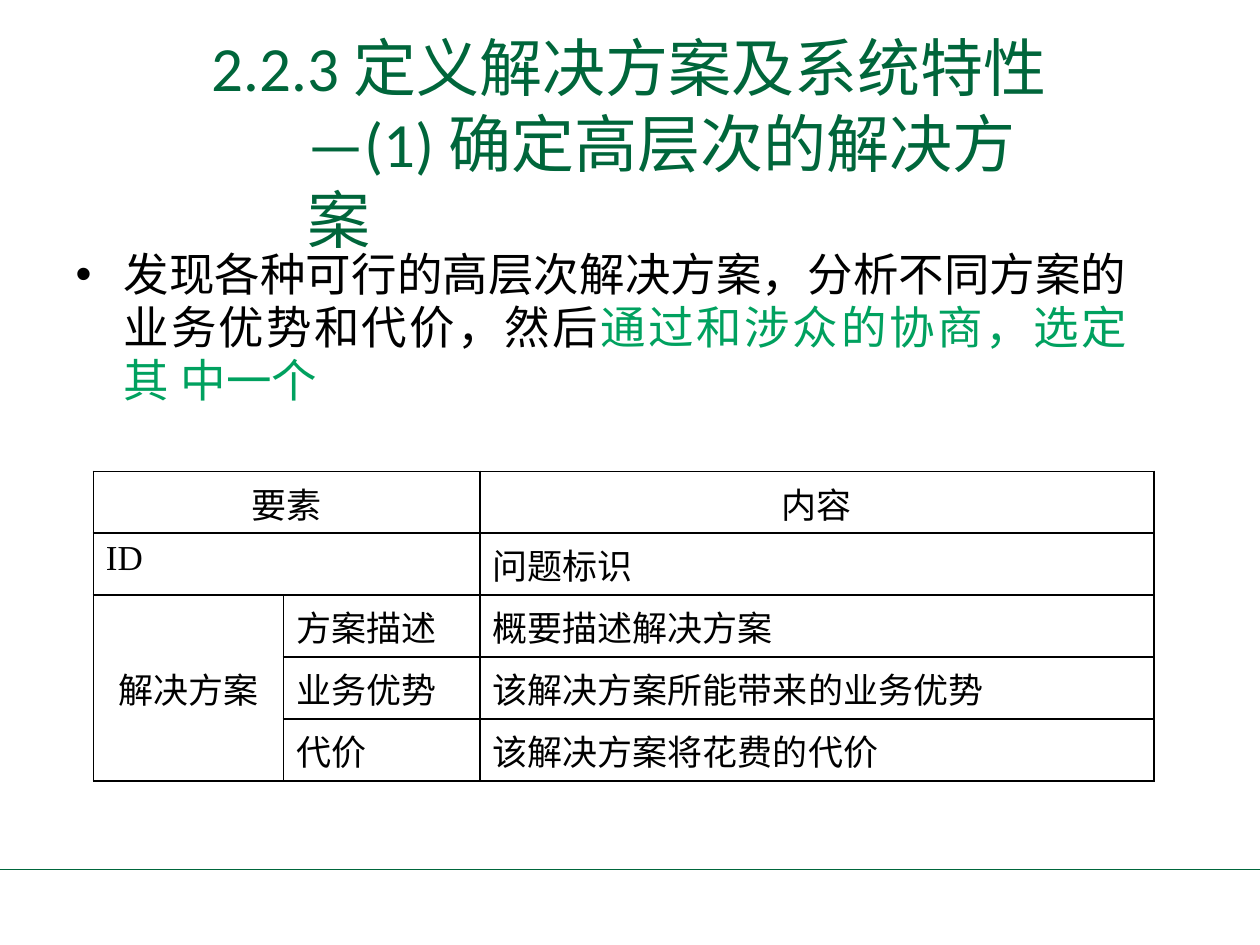
from lxml.etree import SubElement
from pptx import Presentation
from pptx.dml.color import RGBColor
from pptx.enum.shapes import MSO_CONNECTOR
from pptx.enum.text import MSO_ANCHOR, PP_ALIGN
from pptx.oxml.ns import qn
from pptx.util import Pt

COLORS = {"title": "00663B", "accent": "00A15F", "text": "000000", "background": "FFFFFF"}
CJK_FONT = "Noto Sans CJK SC"
COLUMN_WIDTHS = [108.7, 112.3, 385.2]
ROW_HEIGHT = 35.4
TABLE_ROWS = [
    ["要素", "", "内容"],
    ["ID", "", "问题标识"],
    ["解决方案", "方案描述", "概要描述解决方案"],
    ["", "业务优势", "该解决方案所能带来的业务优势"],
    ["", "代价", "该解决方案将花费的代价"],
]
CENTERED_TEXTS = ("要素", "内容", "解决方案")


def color(name):
    return RGBColor.from_string(COLORS[name])


def set_font(paragraph, size, color_name, latin):
    font = paragraph.font
    font.size = Pt(size)
    font.color.rgb = color(color_name)
    font.name = latin
    SubElement(font._element, qn("a:ea"), typeface=CJK_FONT)


def add_text_frame(slide, left, top, width, height, inset_top):
    frame = slide.shapes.add_textbox(Pt(left), Pt(top), Pt(width), Pt(height)).text_frame
    frame.word_wrap = True
    frame.margin_left = frame.margin_right = frame.margin_bottom = 0
    frame.margin_top = Pt(inset_top)
    return frame


def add_title(slide, left, top, width, height):
    frame = add_text_frame(slide, left, top, width, height, 0.7)
    lines = [("2.2.3 定义解决方案及系统特性", 0.7), ("—(1) 确定高层次的解决方案", 55.4)]
    for index, (text, margin) in enumerate(lines):
        paragraph = frame.add_paragraph() if index else frame.paragraphs[0]
        paragraph.add_run().text = text
        paragraph.line_spacing = Pt(43.4)
        paragraph._p.get_or_add_pPr().set("marL", str(Pt(margin)))
        set_font(paragraph, 36, "title", "Calibri")


def add_body(slide, left, top, width, height):
    paragraph = add_text_frame(slide, left, top, width, height, 3.6).paragraphs[0]
    paragraph.alignment = PP_ALIGN.JUSTIFY
    paragraph.line_spacing = Pt(30.3)
    # Hanging bullet
    properties = paragraph._p.get_or_add_pPr()
    properties.set("marL", str(Pt(28.1)))
    properties.set("indent", str(Pt(-27.4)))
    SubElement(properties, qn("a:buFont"), typeface="Arial")
    SubElement(properties, qn("a:buChar"), char="•")
    set_font(paragraph, 26, "text", "Calibri")
    parts = [
        ("发现各种可行的高层次解决方案，分析不同方案的 业务优势和代价，然后", "text", 0),
        ("通过和涉众的协商，选定其 中一个", "accent", 25),
    ]
    for text, color_name, spacing in parts:
        run = paragraph.add_run()
        run.text = text
        run.font.color.rgb = color(color_name)
        run.font._element.set("spc", str(spacing))


def add_borders(cell):
    properties = cell._tc.get_or_add_tcPr()
    for index, side in enumerate(("lnL", "lnR", "lnT", "lnB")):
        line = properties.makeelement(qn(f"a:{side}"), {"w": str(Pt(1))})
        fill = SubElement(line, qn("a:solidFill"))
        SubElement(fill, qn("a:srgbClr"), val=COLORS["text"])
        properties.insert(index, line)


def add_solution_table(slide, left, top):
    shape = slide.shapes.add_table(
        len(TABLE_ROWS), len(COLUMN_WIDTHS), Pt(left), Pt(top),
        Pt(sum(COLUMN_WIDTHS)), Pt(ROW_HEIGHT * len(TABLE_ROWS)))
    table = shape.table
    table.first_row = table.horz_banding = False
    for column, width in zip(table.columns, COLUMN_WIDTHS):
        column.width = Pt(width)
    for row, texts in zip(table.rows, TABLE_ROWS):
        row.height = Pt(ROW_HEIGHT)
        for cell, text in zip(row.cells, texts):
            centered = text in CENTERED_TEXTS
            cell.margin_left = 0 if centered else Pt(7.2)
            cell.margin_right = cell.margin_bottom = 0
            cell.margin_top = Pt(3.5)
            cell.fill.background()
            add_borders(cell)
            paragraph = cell.text_frame.paragraphs[0]
            if text:
                paragraph.add_run().text = text
            paragraph.alignment = PP_ALIGN.CENTER if centered else PP_ALIGN.LEFT
            set_font(paragraph, 20, "text", "Times New Roman")
    # Spans: two wide labels and one tall label
    for row in (0, 1):
        table.cell(row, 0).merge(table.cell(row, 1))
    solution = table.cell(2, 0)
    solution.merge(table.cell(4, 0))
    solution.vertical_anchor = MSO_ANCHOR.MIDDLE
    solution.margin_top = 0


def add_footer_rule(slide, left, top, width):
    rule = slide.shapes.add_connector(
        MSO_CONNECTOR.STRAIGHT, Pt(left), Pt(top), Pt(left + width), Pt(top))
    rule.line.color.rgb = color("title")
    rule.line.width = Pt(1)
    SubElement(rule._element.spPr, qn("a:effectLst"))


def main():
    presentation = Presentation()
    presentation.slide_width, presentation.slide_height = Pt(720), Pt(540)
    slide = presentation.slides.add_slide(presentation.slide_layouts[6])
    slide.background.fill.solid()
    slide.background.fill.fore_color.rgb = color("background")
    add_footer_rule(slide, 0, 496.8, 720)
    add_title(slide, 120.2, 15.4, 495.5, 88.6)
    add_body(slide, 42.5, 138.2, 601.9, 93.6)
    add_solution_table(slide, 53.3, 269.3)
    presentation.save("out.pptx")


if __name__ == "__main__":
    main()
